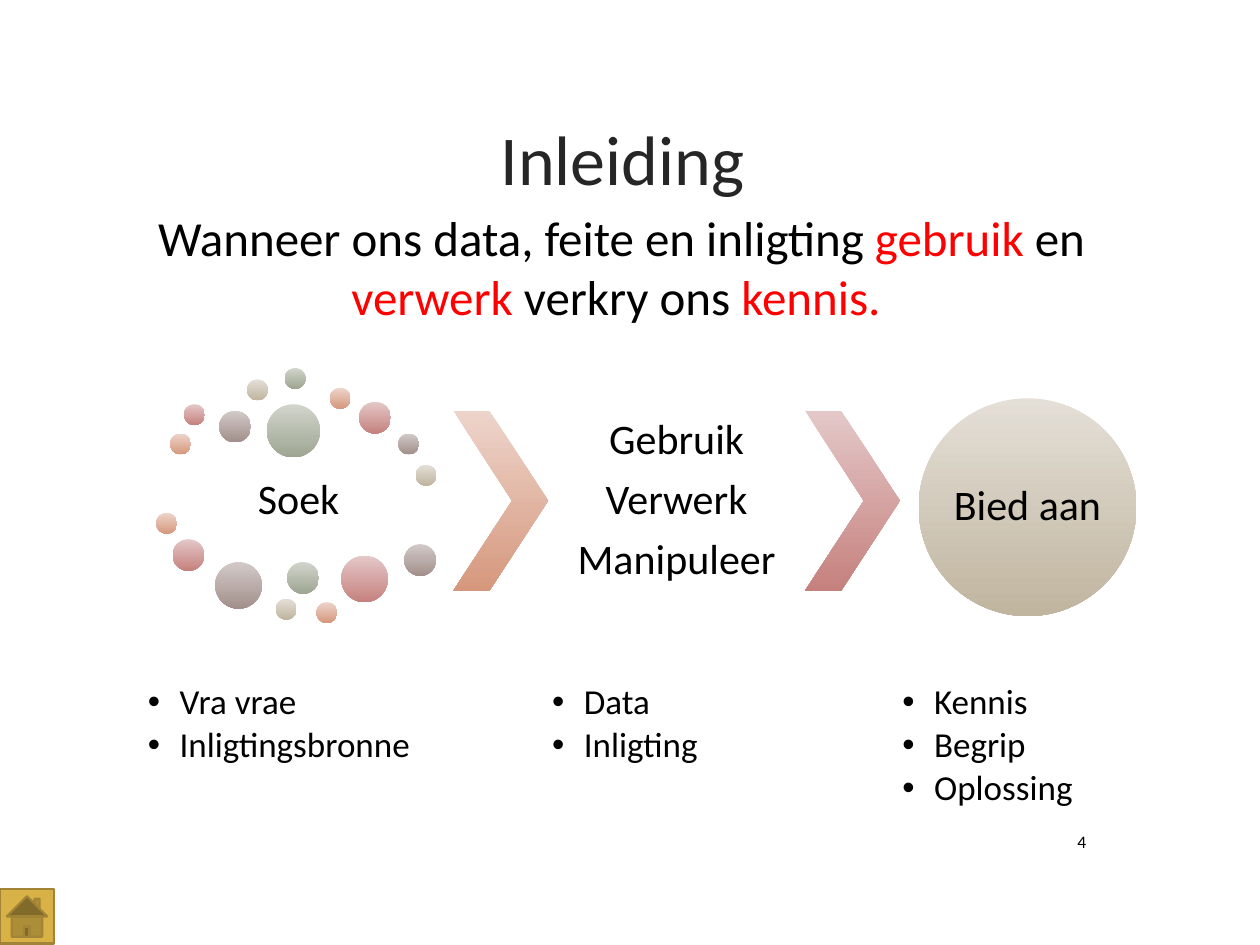
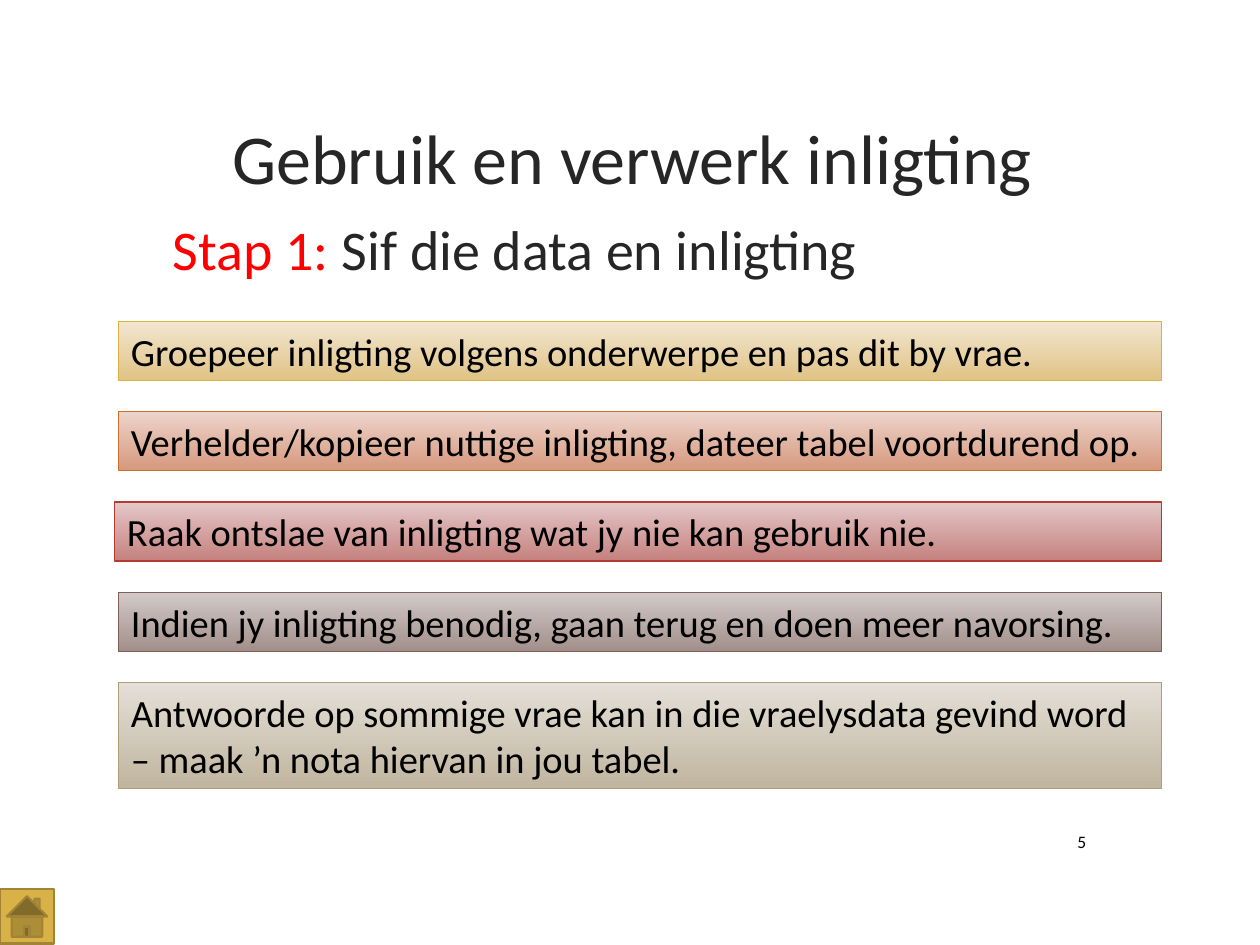
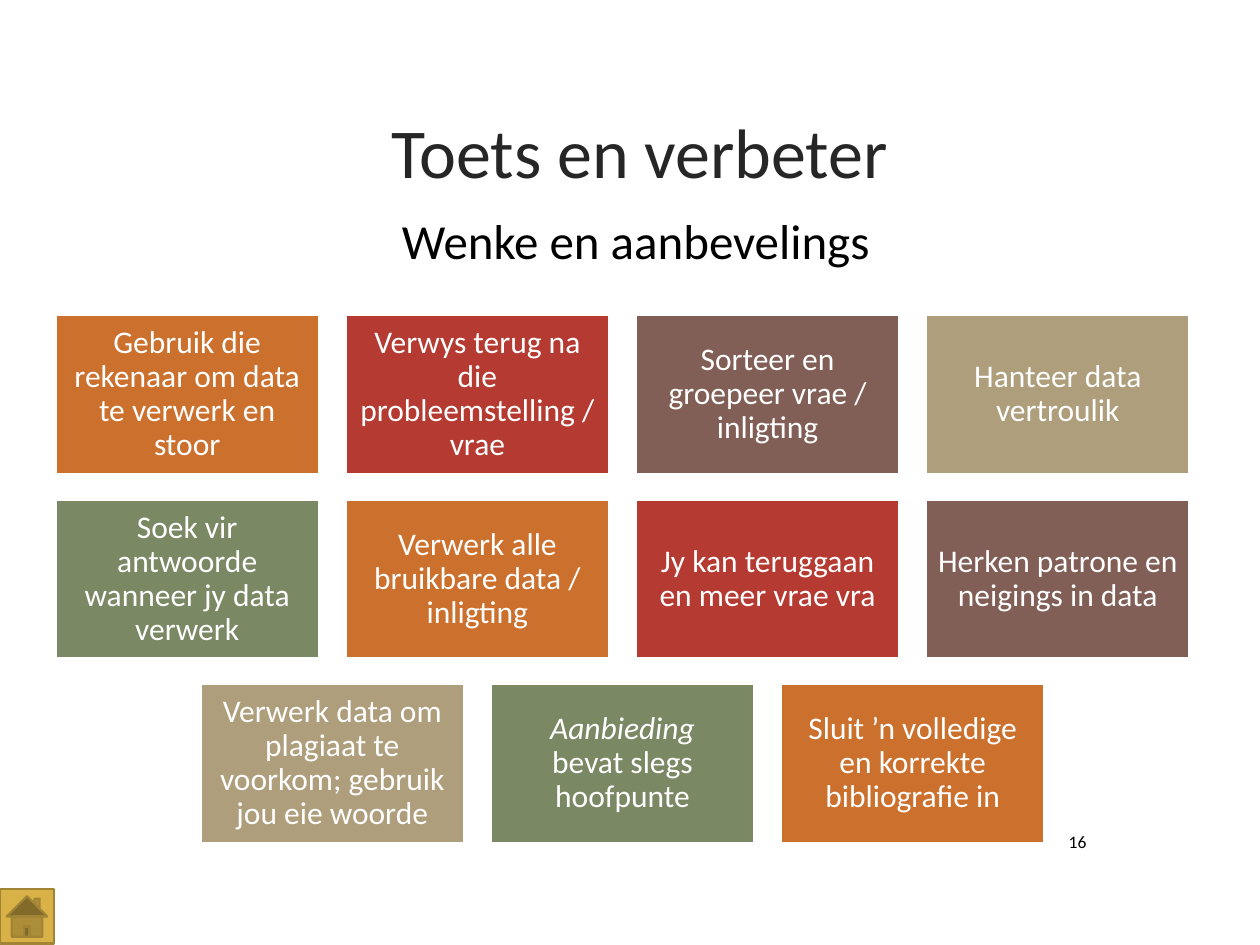
from itertools import cycle

from lxml.etree import SubElement
from pptx import Presentation
from pptx.dml.color import RGBColor
from pptx.enum.shapes import MSO_SHAPE
from pptx.enum.text import MSO_ANCHOR, MSO_AUTO_SIZE, PP_ALIGN
from pptx.oxml.ns import qn
from pptx.util import Cm, Pt

BLACK, WHITE, DARK, RED_TEXT = "000000", "FFFFFF", "262626", "FF0000"
GOLD = ("D9B247", "F2E6D1", "E0C385")
ORANGE = ("CC702D", "EDD4CB", "D6987D")
RED = ("B53A31", "E4C8C8", "C5817E")
BROWN = ("815F56", "D2CAC8", "A28F8B")
TAN = ("AE9E7C", "E4DFD7", "C0B59F")
GREEN = ("7B8864", "D1D5CC", "9EA692")
ACCENTS = (ORANGE, RED, BROWN, TAN, GREEN)


def paint(shape, colours, line=None, width=0.75):
    shape.shadow.inherit = False
    if len(colours) == 1:
        shape.fill.solid()
        shape.fill.fore_color.rgb = RGBColor.from_string(colours[0])
    else:
        shape.fill.gradient()
        shape.fill.gradient_angle = 270
        for stop, colour in zip(shape.fill.gradient_stops, colours):
            stop.color.rgb = RGBColor.from_string(colour)
    if line:
        shape.line.color.rgb = RGBColor.from_string(line)
        shape.line.width = Pt(width)
    else:
        shape.line.fill.background()


def style(box, size, colour=BLACK, align=PP_ALIGN.CENTER, anchor=MSO_ANCHOR.MIDDLE,
          inset=None, spacing=1.0, after=0):
    frame = box.text_frame
    frame.word_wrap = True
    frame.auto_size = MSO_AUTO_SIZE.NONE
    frame.vertical_anchor = anchor
    if inset is not None:
        frame.margin_left = frame.margin_right = Cm(inset)
        frame.margin_top = frame.margin_bottom = Cm(inset)
    for para in frame.paragraphs:
        para.alignment = align
        para.line_spacing = spacing
        para.space_before = Pt(0)
        para.space_after = Pt(after)
        for span in para.runs:
            span.font.name = "Calibri"
            span.font.size = Pt(size)
            span.font.bold = False
            span.font.color.rgb = RGBColor.from_string(colour)


deck = Presentation()
deck.slide_width, deck.slide_height = Cm(25.4), Cm(19.05)
comparison, title_only = deck.slide_layouts[4], deck.slide_layouts[5]

page = deck.slides.add_slide(comparison)
title = page.shapes.title
title.left, title.top, title.width, title.height = map(Cm, (3.1, 1.37, 18.9, 3.63))
title.text_frame.text = "Inleiding"
style(title, 40, DARK)

statement = page.placeholders[1]
statement.left, statement.top, statement.width, statement.height = map(Cm, (2.13, 4.06, 20.8, 2.64))
para = statement.text_frame.paragraphs[0]
for text in ("Wanneer ons data, feite en inligting ", "gebruik ", "en ",
             "verwerk ", "verkry ons ", "kennis. "):
    para.add_run().text = text
style(statement, 28, anchor=MSO_ANCHOR.TOP)
for span in para.runs[1::2]:
    span.font.color.rgb = RGBColor.from_string(RED_TEXT)

small, medium, large, largest = 0.42, 0.64, 0.94, 1.07
dots = (
    (3.43, 8.74, small), (3.71, 8.15, small), (4.42, 8.28, medium),
    (4.98, 7.65, small), (5.74, 7.42, small), (6.65, 7.82, small),
    (7.24, 8.1, medium), (8.03, 8.74, small), (8.38, 9.37, small),
    (5.38, 8.15, largest), (3.15, 10.34, small), (3.48, 10.87, medium),
    (4.34, 11.33, large), (5.56, 12.07, small), (5.79, 11.33, medium),
    (6.38, 12.14, small), (6.88, 11.2, large), (8.15, 10.97, medium),
)
for (left, top, size), accent in zip(dots, cycle(ACCENTS)):
    dot = page.shapes.add_shape(MSO_SHAPE.OVAL, Cm(left), Cm(top), Cm(size), Cm(size))
    paint(dot, accent[1:])

for left, accent in ((9.14, ORANGE), (16.23, RED)):
    chevron = page.shapes.add_shape(MSO_SHAPE.CHEVRON, Cm(left), Cm(8.28), Cm(1.91), Cm(3.63))
    chevron.adjustments[0] = 0.62
    paint(chevron, accent[1:])

for text, place in (("Soek", (3.43, 9.25, 5.18, 1.7)),
                    ("Gebruik\nVerwerk\nManipuleer", (11.05, 8.28, 5.18, 3.63))):
    box = page.shapes.add_textbox(*map(Cm, place))
    box.text_frame.text = text
    style(box, 24, inset=0.08, spacing=0.9, after=8.4)

result = page.shapes.add_shape(MSO_SHAPE.OVAL, Cm(18.52), Cm(8.03), Cm(4.39), Cm(4.39))
paint(result, TAN[1:])
result.text_frame.text = "Bied aan"
style(result, 24, inset=0, spacing=0.9)

for index, left, width, text in ((2, 2.9, 6.25, "Vra vrae\nInligtingsbronne"),
                                 (3, 11.05, 5.18, "Data\nInligting"),
                                 (4, 18.11, 5.18, "Kennis\nBegrip\nOplossing")):
    box = page.placeholders[index]
    box.left, box.top, box.width, box.height = map(Cm, (left, 13.72, width, 2.9))
    box.text_frame.text = text
    style(box, 20, align=PP_ALIGN.LEFT, anchor=MSO_ANCHOR.TOP, inset=0.08, spacing=0.9, after=3)
    for para in box.text_frame.paragraphs:
        properties = para._p.get_or_add_pPr()
        properties.set("marL", str(Cm(0.64)))
        properties.set("indent", str(-Cm(0.64)))
        SubElement(properties, qn("a:buChar")).set("char", "•")

page = deck.slides.add_slide(title_only)
title = page.shapes.title
title.left, title.top, title.width, title.height = map(Cm, (3.23, 4.06, 18.9, 1.88))
title.text_frame.text = "Stap 1:"
para = title.text_frame.paragraphs[0]
para.add_run().text = " Sif die data en inligting"
style(title, 32, DARK, PP_ALIGN.LEFT)
para.runs[0].font.color.rgb = RGBColor.from_string(RED_TEXT)

heading = page.shapes.add_textbox(Cm(2.39), Cm(1.35), Cm(21.03), Cm(3.63))
heading.text_frame.text = "Gebruik en verwerk inligting "
style(heading, 40, DARK)

bars = (
    (GOLD, 2.39, 1.19, "Groepeer inligting volgens onderwerpe en pas dit by vrae."),
    (ORANGE, 2.39, 1.19, "Verhelder/kopieer nuttige inligting, dateer tabel voortdurend op."),
    (RED, 2.31, 1.19, "Raak ontslae van inligting wat jy nie kan gebruik nie."),
    (BROWN, 2.39, 1.19, "Indien jy inligting benodig, gaan terug en doen meer navorsing."),
    (TAN, 2.39, 2.13, "Antwoorde op sommige vrae kan in die vraelysdata gevind word "
                      "– maak ’n nota hiervan in jou tabel."),
)
for row, (accent, left, height, text) in enumerate(bars):
    bar = page.shapes.add_shape(MSO_SHAPE.RECTANGLE, Cm(left), Cm(6.48 + 1.82 * row),
                                Cm(23.42 - left), Cm(height))
    paint(bar, accent[1:], accent[0])
    bar.text_frame.text = text
    style(bar, 22, align=PP_ALIGN.LEFT)

page = deck.slides.add_slide(title_only)
title = page.shapes.title
title.left, title.top, title.width, title.height = map(Cm, (3.45, 1.93, 18.9, 2.21))
title.text_frame.text = "Toets en verbeter"
style(title, 40, DARK)

subtitle = page.shapes.add_textbox(Cm(1.5), Cm(4.11), Cm(22.63), Cm(1.45))
subtitle.text_frame.text = "Wenke en aanbevelings"
style(subtitle, 28, anchor=MSO_ANCHOR.TOP)

tips = (
    ("Gebruik die rekenaar om data te verwerk en stoor",
     "Verwys terug na die probleemstelling / vrae",
     "Sorteer en groepeer vrae / inligting",
     "Hanteer data vertroulik"),
    ("Soek vir antwoorde wanneer jy data verwerk",
     "Verwerk alle bruikbare data / inligting",
     "Jy kan teruggaan en meer vrae vra",
     "Herken patrone en neigings in data"),
    ("Verwerk data om plagiaat te voorkom; gebruik jou eie woorde",
     "Aanbieding\vbevat slegs hoofpunte",
     "Sluit ’n volledige en korrekte bibliografie in"),
)
accents = cycle(ACCENTS)
step = 5.85
for row, texts in enumerate(tips):
    row_left = 1.12 + (4 - len(texts)) * step / 2
    for column, text in enumerate(texts):
        tile = page.shapes.add_shape(MSO_SHAPE.RECTANGLE, Cm(row_left + column * step),
                                     Cm(6.35 + 3.72 * row), Cm(5.31), Cm(3.2))
        paint(tile, next(accents)[:1], WHITE, 1.25)
        tile.text_frame.text = text
        style(tile, 18, WHITE, inset=0.18, spacing=0.9)
        if "\v" in text:
            tile.text_frame.paragraphs[0].runs[0].font.italic = True

for page, number in zip(deck.slides, (4, 5, 16)):
    footer = page.shapes.add_textbox(Cm(21.06), Cm(16.56), Cm(1.09), Cm(0.79))
    footer.text_frame.text = str(number)
    style(footer, 10, align=PP_ALIGN.RIGHT)
    home = page.shapes.add_shape(MSO_SHAPE.ACTION_BUTTON_HOME, Cm(0), Cm(17.93), Cm(1.09), Cm(1.09))
    paint(home, GOLD[:1], "A18435", 1.25)

deck.save("out.pptx")
